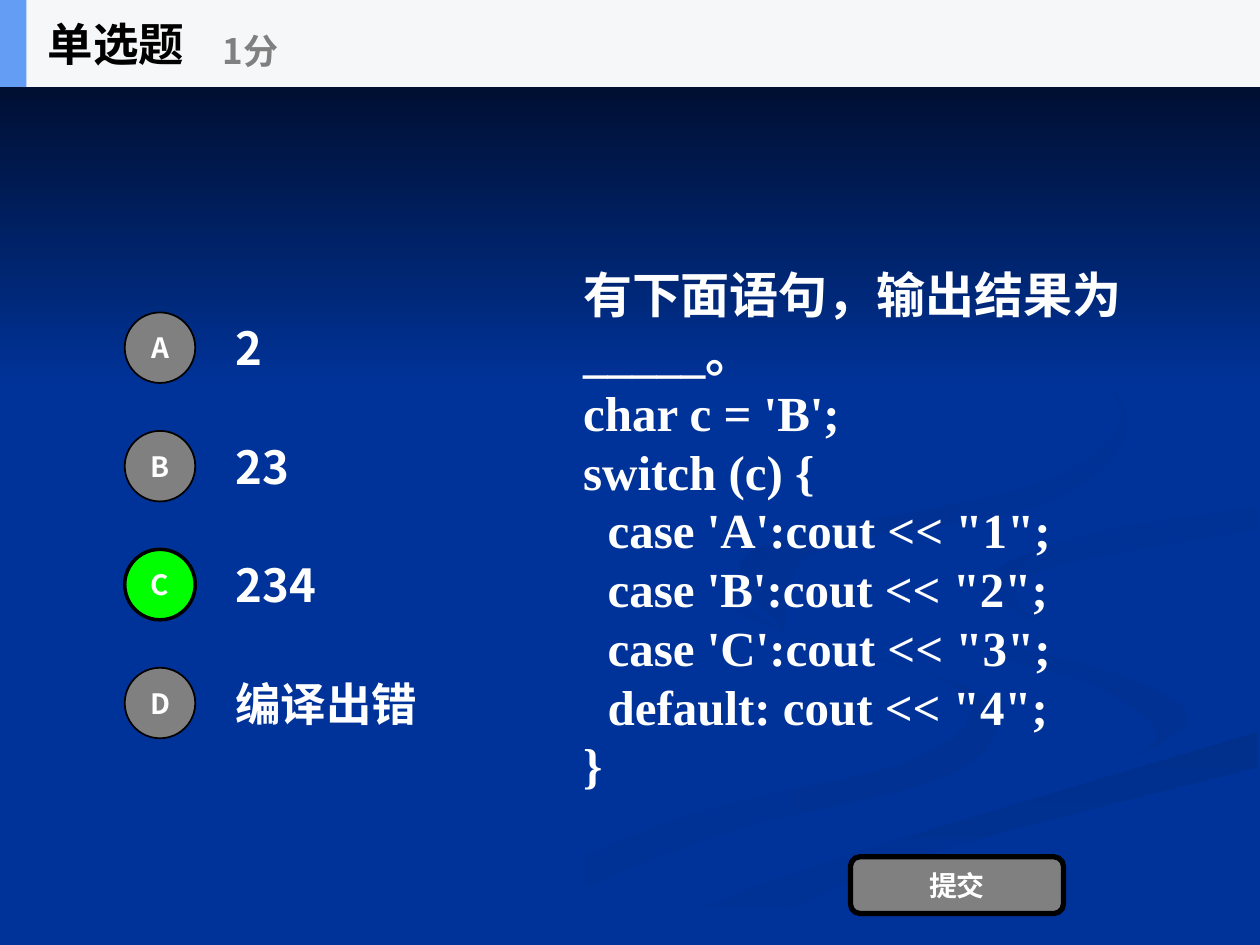
"""Build a single-choice quiz slide about a C++ switch statement."""
from dataclasses import dataclass
from typing import Any

import lxml.etree
import pptx
import pptx.dml.color
import pptx.enum.shapes
import pptx.enum.text
import pptx.oxml.ns
import pptx.util

Inches = pptx.util.Inches
Pt = pptx.util.Pt
SHAPES = pptx.enum.shapes.MSO_SHAPE
ALIGN = pptx.enum.text.PP_ALIGN
SANS, SERIF = "Noto Sans CJK SC", "Times New Roman"
NAVY, WHITE, BLACK, GRAY, GREEN = "003399", "FFFFFF", "000000", "808080", "00FF00"


@dataclass
class Box:
    left: float
    top: float
    width: float
    height: float

    def lengths(self) -> tuple:
        return tuple(Inches(v) for v in (self.left, self.top, self.width, self.height))


@dataclass
class Style:
    size: float
    color: str = WHITE
    font: str = SANS
    align: Any = ALIGN.LEFT
    spacing: Any = None
    inset: float = 0.1


@dataclass
class Gradient:
    start: str
    end: str
    angle: float


@dataclass
class Swirl:
    gradient: Gradient
    outer: list
    inner: list


@dataclass
class Option:
    letter: str
    answer: str
    fill: str = GRAY
    border: float = 1


QUESTION = """有下面语句，输出结果为_____。
char c = 'B';
switch (c) {
  case 'A':cout << "1";
  case 'B':cout << "2";
  case 'C':cout << "3";
  default: cout << "4";
}"""
OPTIONS = [Option("A", "2"), Option("B", "23"),
           Option("C", "234", GREEN, 2), Option("D", "编译出错")]
OPTION_TOP, OPTION_STEP = 2.41, 0.94
SWIRLS = [
    Swirl(Gradient(NAVY, "003193", 0),
          [(5.75, 4.59), (6.26, 5.02), (7.81, 5.53), (7.56, 6.14), (5.64, 6.65), (3.61, 7.49)],
          [(5.75, 4.59), (5.93, 4.91), (7.62, 5.47), (7.27, 6.02), (5.39, 6.49), (3, 7.49)]),
    Swirl(Gradient(NAVY, "003193", 45),
          [(7.24, 4.64), (7.74, 5.03), (8.88, 5.35), (9.43, 5.7), (8.94, 6.05)],
          [(7.24, 4.64), (7.66, 5.12), (8.68, 5.44), (9.18, 5.81), (8.94, 6.05)]),
    Swirl(Gradient("002F8C", NAVY, 90),
          [(5.03, 7.49), (6.3, 6.93), (9.98, 5.81)],
          [(5.71, 7.49), (7.22, 6.82), (9.98, 6.09)]),
    Swirl(Gradient("003091", NAVY, 45),
          [(9.98, 4.02), (8.65, 4.24), (7.81, 4.6), (8.26, 4.96)],
          [(9.98, 4.2), (8.43, 4.48), (8.05, 4.72), (8.26, 4.96)]),
    Swirl(Gradient("002F8E", NAVY, 45),
          [(7.62, 2.33), (8.64, 2.91), (8.94, 3.44), (8.25, 4.02), (6.49, 4.36), (6.22, 5)],
          [(7.62, 2.33), (8.55, 2.85), (8.89, 3.35), (8.18, 3.86), (5.97, 4.37), (6.22, 5)]),
]
CURVE_STEPS = 6


def rgb(color: str):
    return pptx.dml.color.RGBColor.from_string(color)


def apply(target: Any, formats: dict) -> None:
    for attribute, value in formats.items():
        setattr(target, attribute, value)


def smooth(points: list) -> list:
    padded = [points[0], *points, points[-1]]
    curve = []
    for corners in zip(padded, padded[1:], padded[2:], padded[3:]):
        for step in range(CURVE_STEPS):
            t = step / CURVE_STEPS
            curve.append(tuple(
                b + t * (c - a + t * (2 * a - 5 * b + 4 * c - d + t * (3 * (b - c) + d - a))) / 2
                for a, b, c, d in zip(*corners)))
    return [*curve, points[-1]]


def paint(shape: Any, fill: Any, border: float = 0) -> None:
    shape.shadow.inherit = False
    if isinstance(fill, Gradient):
        shape.fill.gradient()
        shape.fill.gradient_angle = -fill.angle % 360
        for stop, color in zip(shape.fill.gradient_stops, (fill.start, fill.end)):
            stop.color.rgb = rgb(color)
    else:
        shape.fill.solid()
        shape.fill.fore_color.rgb = rgb(fill)
    if border:
        shape.line.color.rgb = rgb(BLACK)
        shape.line.width = Pt(border)
    else:
        shape.line.fill.background()


def write(shape: Any, text: str, style: Style) -> None:
    frame = shape.text_frame
    inset = Inches(style.inset)
    apply(frame, {"word_wrap": True, "auto_size": pptx.enum.text.MSO_AUTO_SIZE.NONE,
                  "vertical_anchor": pptx.enum.text.MSO_ANCHOR.MIDDLE,
                  "margin_left": inset, "margin_right": inset})
    for index, line in enumerate(text.split("\n")):
        paragraph = frame.add_paragraph() if index else frame.paragraphs[0]
        apply(paragraph, {"alignment": style.align, "line_spacing": style.spacing})
        run = paragraph.add_run()
        run.text = line
        apply(run.font, {"size": Pt(style.size), "bold": True, "name": style.font})
        run.font.color.rgb = rgb(style.color)
        east_asian = lxml.etree.SubElement(run._r.get_or_add_rPr(), pptx.oxml.ns.qn("a:ea"))
        east_asian.set("typeface", SANS)


def add_label(slide: Any, box: Box, text: str, style: Style) -> None:
    write(slide.shapes.add_textbox(*box.lengths()), text, style)


def add_block(slide: Any, kind: Any, box: Box, fill: Any, border: float = 0) -> Any:
    block = slide.shapes.add_shape(kind, *box.lengths())
    paint(block, fill, border)
    return block


def add_swirl(slide: Any, swirl: Swirl) -> None:
    outline = smooth(swirl.outer) + smooth(swirl.inner)[::-1]
    first, *rest = [(Inches(x), Inches(y)) for x, y in outline]
    builder = slide.shapes.build_freeform(*first)
    builder.add_line_segments(rest, close=True)
    paint(builder.convert_to_shape(), swirl.gradient)


def add_option(slide: Any, option: Option, top: float) -> None:
    add_label(slide, Box(1.77, top, 1.98, 0.7), option.answer, Style(26))
    badge = add_block(slide, SHAPES.OVAL, Box(0.99, top + 0.07, 0.56, 0.56),
                      option.fill, option.border)
    write(badge, option.letter, Style(16, align=ALIGN.CENTER, inset=0))


def add_header(slide: Any) -> None:
    add_block(slide, SHAPES.RECTANGLE, Box(0, 0, 10, 0.69), "F6F7F8")
    add_block(slide, SHAPES.RECTANGLE, Box(0, 0, 0.21, 0.69), "639EF4")
    title = slide.shapes.title
    apply(title, dict(zip(("left", "top", "width", "height"),
                          Box(0.28, 0, 2.08, 0.69).lengths())))
    write(title, "单选题", Style(26, BLACK))
    slide.shapes.element.append(title.element)
    add_label(slide, Box(1.67, 0.12, 2.5, 0.56), "1分", Style(20, GRAY))


def main() -> None:
    deck = pptx.Presentation()
    apply(deck, {"slide_width": Inches(10), "slide_height": Inches(7.5)})
    slide = deck.slides.add_slide(deck.slide_layouts[5])
    slide.background.fill.solid()
    slide.background.fill.fore_color.rgb = rgb(NAVY)
    for swirl in SWIRLS:
        add_swirl(slide, swirl)
    add_block(slide, SHAPES.RECTANGLE, Box(0, 0, 10, 3.08), Gradient("000514", NAVY, 90))
    add_label(slide, Box(4.53, 1.84, 5.02, 4.72), QUESTION,
              Style(28, font=SERIF, spacing=Pt(33.6)))
    for index, option in enumerate(OPTIONS):
        add_option(slide, option, OPTION_TOP + index * OPTION_STEP)
    submit = add_block(slide, SHAPES.ROUNDED_RECTANGLE, Box(6.75, 6.8, 1.69, 0.45), GRAY, 3)
    write(submit, "提交", Style(16, align=ALIGN.CENTER))
    add_header(slide)
    deck.save("out.pptx")


if __name__ == "__main__":
    main()
